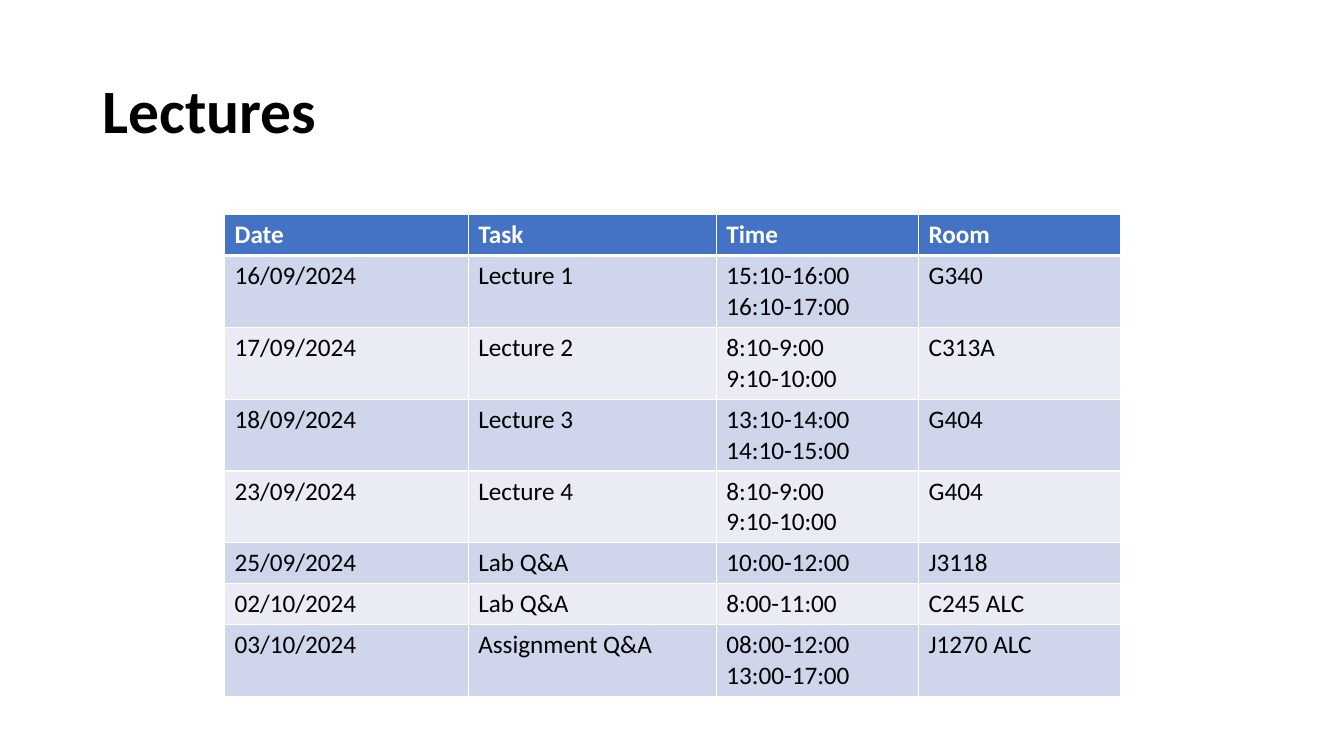
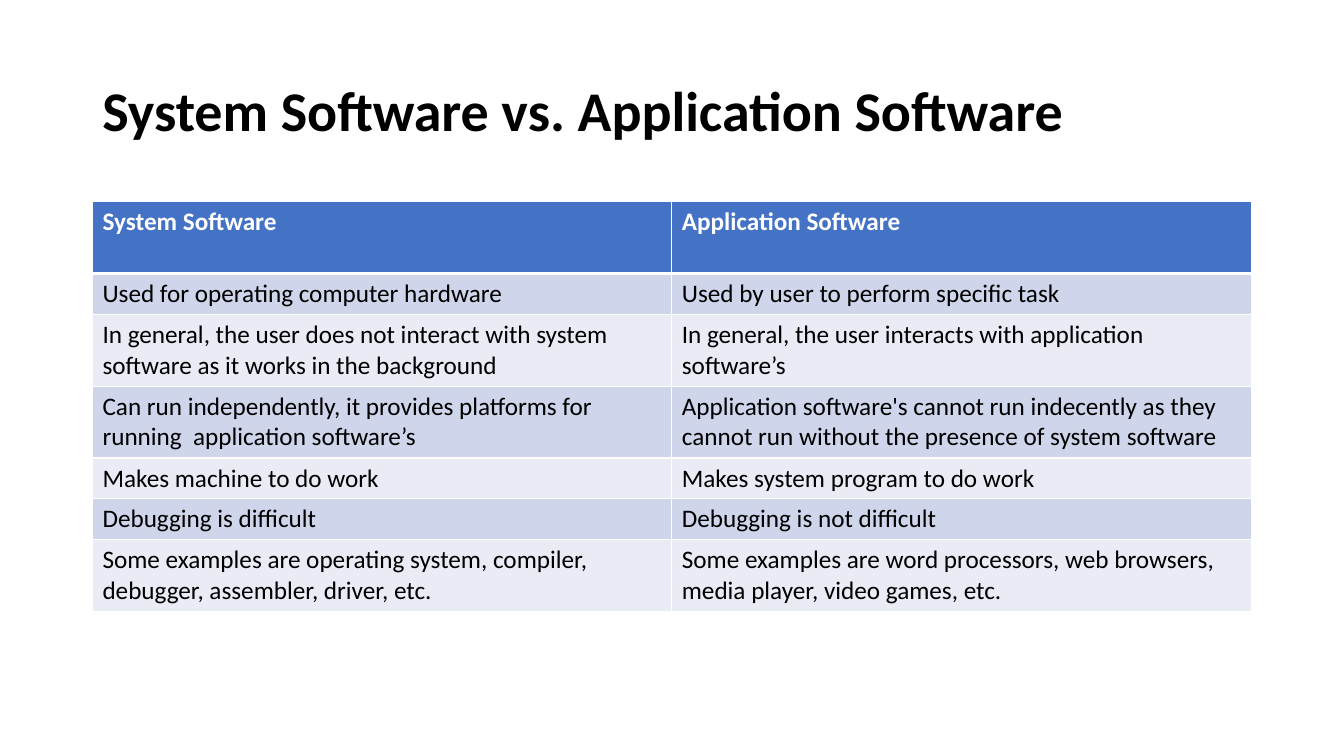
from dataclasses import dataclass

import pptx
import pptx.dml.color
import pptx.enum.text
import pptx.oxml
import pptx.oxml.ns
import pptx.util
from pptx.util import Cm

# Shared style
FONT = "Calibri"
BLACK = "000000"
WHITE = "FFFFFF"
HEADER_FILL = "4472C4"
BAND_FILLS = ("CFD5EA", "E9EBF5")
TABLE_TEXT_SIZE = 18
THIN_BORDER = 1
HEADER_BORDER = 3

# Row height in cm: cell margins plus one step for each text line
CELL_MARGINS = 0.25
LINE_STEP = 0.78


@dataclass(frozen=True)
class TableRow:
    texts: tuple[str, ...]
    lines: int = 1


@dataclass(frozen=True)
class TableSlide:
    title: str
    title_size: int
    left: float
    top: float
    column_widths: tuple[float, ...]
    rows: tuple[TableRow, ...]


SLIDES = (
    TableSlide(
        "Lectures", 44, 5.66, 5.41, (6.14, 6.25, 5.1, 5.1),
        (
            TableRow(("Date", "Task", "Time", "Room")),
            TableRow(("16/09/2024", "Lecture 1", "15:10-16:00\n16:10-17:00", "G340"), 2),
            TableRow(("17/09/2024", "Lecture 2", "8:10-9:00\n9:10-10:00", "C313A"), 2),
            TableRow(("18/09/2024", "Lecture 3", "13:10-14:00\n14:10-15:00", "G404"), 2),
            TableRow(("23/09/2024", "Lecture 4", "8:10-9:00\n9:10-10:00", "G404"), 2),
            TableRow(("25/09/2024", "Lab Q&A", "10:00-12:00", "J3118")),
            TableRow(("02/10/2024", "Lab Q&A", "8:00-11:00", "C245 ALC")),
            TableRow(("03/10/2024", "Assignment Q&A", "08:00-12:00\n13:00-17:00", "J1270 ALC"), 2),
        ),
    ),
    TableSlide(
        "System Software vs. Application Software", 40, 2.33, 5.08, (14.6, 14.6),
        (
            TableRow(("System Software", "Application Software"), 2),
            TableRow(("Used for operating computer hardware",
                      "Used by user to perform specific task")),
            TableRow(("In general, the user does not interact with system software "
                      "as it works in the background",
                      "In general, the user interacts with application software’s"), 2),
            TableRow(("Can run independently, it provides platforms for "
                      "running  application software’s",
                      "Application software's cannot run indecently as they cannot run "
                      "without the presence of system software"), 2),
            TableRow(("Makes machine to do work", "Makes system program to do work")),
            TableRow(("Debugging is difficult", "Debugging is not difficult")),
            TableRow(("Some examples are operating system, compiler, debugger, "
                      "assembler, driver, etc.",
                      "Some examples are word processors, web browsers, media player, "
                      "video games, etc."), 2),
        ),
    ),
)


def color(value: str) -> pptx.dml.color.RGBColor:
    return pptx.dml.color.RGBColor.from_string(value)


def format_text(text_frame, size: int, text_color: str, bold: bool) -> None:
    for paragraph in text_frame.paragraphs:
        for run in paragraph.runs:
            run.font.name = FONT
            run.font.size = pptx.util.Pt(size)
            run.font.bold = bold
            run.font.color.rgb = color(text_color)


def add_title(slide, text: str, size: int) -> None:
    shape = slide.shapes.add_textbox(Cm(2.33), Cm(1.01), Cm(29.21), Cm(3.68))
    text_frame = shape.text_frame
    text_frame.word_wrap = True
    text_frame.vertical_anchor = pptx.enum.text.MSO_ANCHOR.MIDDLE
    text_frame.text = text
    text_frame.paragraphs[0].line_spacing = 0.9
    format_text(text_frame, size, BLACK, True)


def set_borders(cell, top: int, bottom: int) -> None:
    properties = cell._tc.get_or_add_tcPr()
    widths = {"lnL": THIN_BORDER, "lnR": THIN_BORDER, "lnT": top, "lnB": bottom}
    # Border lines come before the fill in the cell properties
    for position, (tag, width) in enumerate(widths.items()):
        properties.insert(position, pptx.oxml.parse_xml(
            f'<a:{tag} {pptx.oxml.ns.nsdecls("a")} w="{pptx.util.Pt(width)}">'
            f'<a:solidFill><a:srgbClr val="{WHITE}"/></a:solidFill></a:{tag}>'
        ))


def fill_cell(cell, text: str, row_index: int) -> None:
    is_header = row_index == 0
    cell.text_frame.text = text
    format_text(cell.text_frame, TABLE_TEXT_SIZE, WHITE if is_header else BLACK, is_header)
    cell.fill.solid()
    cell.fill.fore_color.rgb = color(
        HEADER_FILL if is_header else BAND_FILLS[(row_index - 1) % len(BAND_FILLS)])
    set_borders(
        cell,
        top=HEADER_BORDER if row_index == 1 else THIN_BORDER,
        bottom=HEADER_BORDER if is_header else THIN_BORDER,
    )


def add_table(slide, content: TableSlide) -> None:
    heights = [CELL_MARGINS + LINE_STEP * row.lines for row in content.rows]
    table = slide.shapes.add_table(
        len(content.rows), len(content.column_widths),
        Cm(content.left), Cm(content.top),
        Cm(sum(content.column_widths)), Cm(sum(heights)),
    ).table
    for column, width in zip(table.columns, content.column_widths):
        column.width = Cm(width)
    for row_index, (row, height) in enumerate(zip(content.rows, heights)):
        table.rows[row_index].height = Cm(height)
        for column_index, text in enumerate(row.texts):
            fill_cell(table.cell(row_index, column_index), text, row_index)


def main() -> None:
    presentation = pptx.Presentation()
    presentation.slide_width = Cm(33.87)
    presentation.slide_height = Cm(19.05)
    blank_layout = presentation.slide_layouts[6]
    for content in SLIDES:
        slide = presentation.slides.add_slide(blank_layout)
        add_title(slide, content.title, content.title_size)
        add_table(slide, content)
    presentation.save("out.pptx")


if __name__ == "__main__":
    main()
